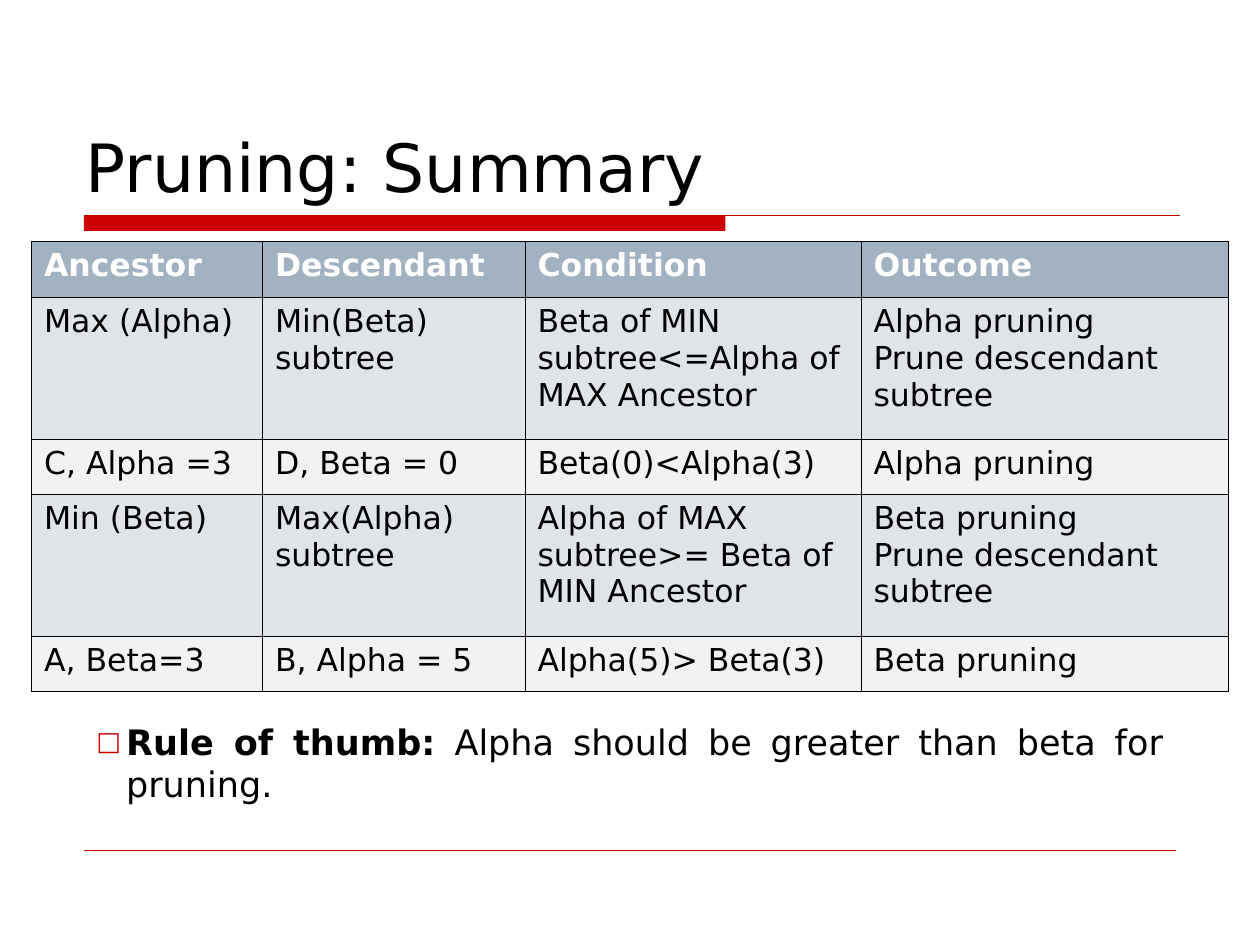
from lxml.etree import SubElement
from pptx import Presentation
from pptx.dml.color import RGBColor
from pptx.enum.shapes import MSO_CONNECTOR as Connector, MSO_SHAPE as Shape
from pptx.enum.text import MSO_ANCHOR as Anchor, PP_ALIGN as Align
from pptx.oxml.ns import qn
from pptx.util import Pt

FONT = "DejaVu Sans"
RED, BLACK, WHITE = "CC0000", "000000", "FFFFFF"
HEADER_FILL, BAND_FILLS = "A3B2C1", ("E0E4E9", "F0F2F4")

TITLE = "Pruning: Summary"
ROWS = [
    ("Ancestor", "Descendant", "Condition", "Outcome"),
    ("Max (Alpha)", "Min(Beta) subtree", "Beta of MIN subtree<=Alpha of MAX Ancestor",
     "Alpha pruning\nPrune descendant subtree"),
    ("C, Alpha =3", "D, Beta = 0", "Beta(0)<Alpha(3)", "Alpha pruning"),
    ("Min (Beta)", "Max(Alpha) subtree", "Alpha of MAX subtree>= Beta of MIN Ancestor",
     "Beta pruning\nPrune descendant subtree"),
    ("A, Beta=3", "B, Alpha = 5", "Alpha(5)> Beta(3)", "Beta pruning"),
]
COLUMN_WIDTHS = (132, 150, 192, 210)
ROW_HEIGHTS = (32, 81, 31.5, 81, 31.5)
RULE = [("Rule of thumb:", True), (" Alpha should be greater than beta for pruning.", False)]


def color(value):
    return RGBColor.from_string(value)


def apply(target, **values):
    for name, value in values.items():
        setattr(target, name, value)


def add_span(para, text, size, ink=BLACK, bold=False):
    span = para.add_run()
    span.text = text
    apply(span.font, name=FONT, size=Pt(size), bold=bold)
    span.font.color.rgb = color(ink)


def add_box(page, left, top, width, height, **frame_format):
    box = page.shapes.add_textbox(Pt(left), Pt(top), Pt(width), Pt(height))
    apply(box.text_frame, word_wrap=True, **frame_format)
    return box.text_frame.paragraphs[0]


def add_line(page, left, right, y, weight):
    line = page.shapes.add_connector(Connector.STRAIGHT, Pt(left), Pt(y), Pt(right), Pt(y))
    line.line.color.rgb = color(RED)
    line.line.width = Pt(weight)
    SubElement(line._element.spPr, qn("a:effectLst"))


def add_borders(cell, weight):
    properties = cell._tc.get_or_add_tcPr()
    for index, side in enumerate(("lnL", "lnR", "lnT", "lnB")):
        border = SubElement(properties, qn(f"a:{side}"), w=str(int(Pt(weight))))
        fill = SubElement(border, qn("a:solidFill"))
        SubElement(fill, qn("a:srgbClr"), val=BLACK)
        properties.remove(border)
        properties.insert(index, border)


def add_bullet(para, symbol, indent):
    properties = para._p.get_or_add_pPr()
    apply_indent = {"marL": int(Pt(indent)), "indent": -int(Pt(indent))}
    for name, value in apply_indent.items():
        properties.set(name, str(value))
    SubElement(SubElement(properties, qn("a:buClr")), qn("a:srgbClr"), val=RED)
    SubElement(properties, qn("a:buSzPct"), val="75000")
    SubElement(properties, qn("a:buFont"), typeface=FONT)
    SubElement(properties, qn("a:buChar"), char=symbol)


def add_rules(page):
    bar = page.shapes.add_shape(Shape.RECTANGLE, Pt(48), Pt(123), Pt(366.5), Pt(9))
    bar.shadow.inherit = False
    bar.fill.solid()
    bar.fill.fore_color.rgb = color(RED)
    bar.line.fill.background()
    add_line(page, 48, 674.5, 123.25, 0.75)
    add_line(page, 48, 672, 486, 0.25)


def add_summary(page):
    frame = page.shapes.add_table(len(ROWS), len(COLUMN_WIDTHS), Pt(18), Pt(138),
                                  Pt(sum(COLUMN_WIDTHS)), Pt(sum(ROW_HEIGHTS)))
    table = frame.table
    for column, width in zip(table.columns, COLUMN_WIDTHS):
        column.width = Pt(width)
    for r, (height, texts) in enumerate(zip(ROW_HEIGHTS, ROWS)):
        table.rows[r].height = Pt(height)
        header = r == 0
        for c, text in enumerate(texts):
            cell = table.cell(r, c)
            cell.fill.solid()
            cell.fill.fore_color.rgb = color(HEADER_FILL if header else BAND_FILLS[(r - 1) % 2])
            add_borders(cell, 0.45)
            for i, part in enumerate(text.split("\n")):
                para = cell.text_frame.add_paragraph() if i else cell.text_frame.paragraphs[0]
                add_span(para, part, 18, WHITE if header else BLACK, header)


def main():
    deck = Presentation()
    apply(deck, slide_width=Pt(720), slide_height=Pt(540))
    page = deck.slides.add_slide(deck.slide_layouts[6])
    add_rules(page)
    title = add_box(page, 45, 24, 630, 95.5, vertical_anchor=Anchor.BOTTOM,
                    margin_left=Pt(4), margin_bottom=Pt(2))
    add_span(title, TITLE, 38)
    add_summary(page)
    rule = add_box(page, 48, 408, 624, 55.5)
    apply(rule, alignment=Align.JUSTIFY, space_before=Pt(5))
    add_bullet(rule, "□", 17)
    for text, bold in RULE:
        add_span(rule, text, 20, bold=bold)
    deck.save("out.pptx")


if __name__ == "__main__":
    main()
